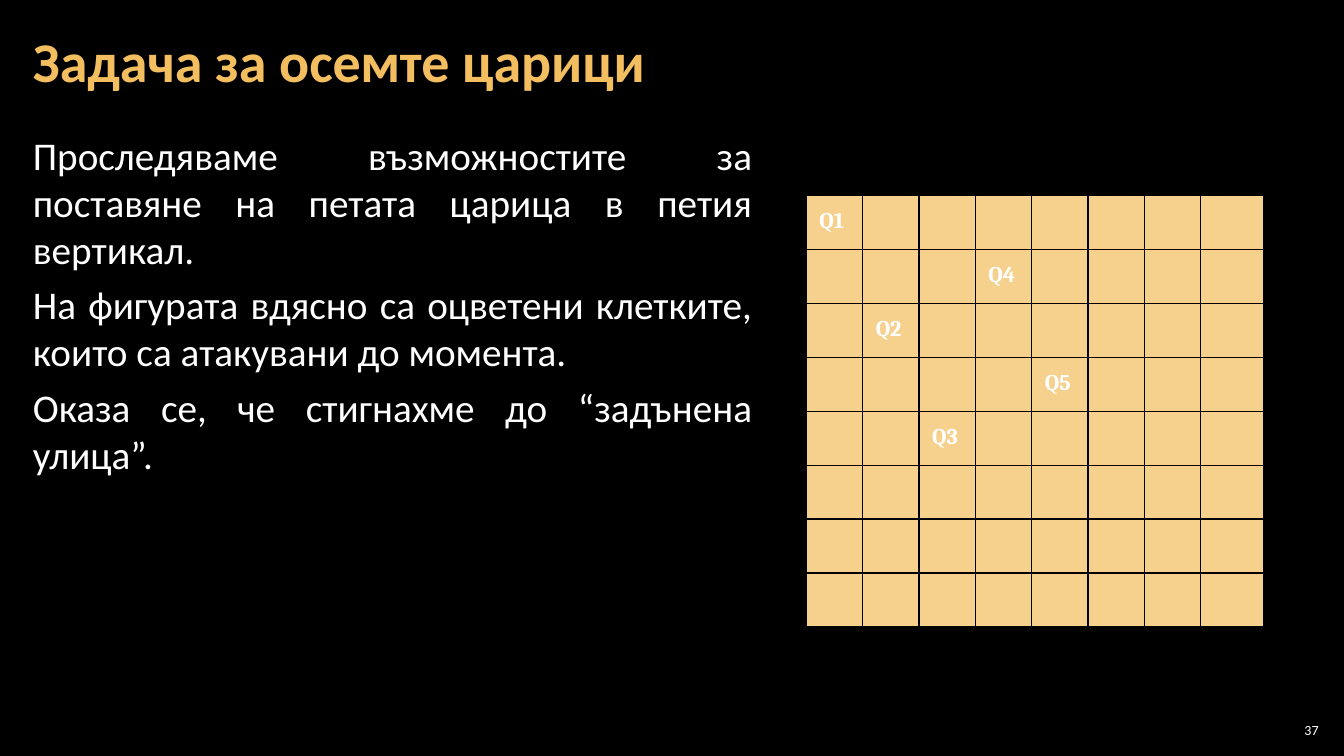
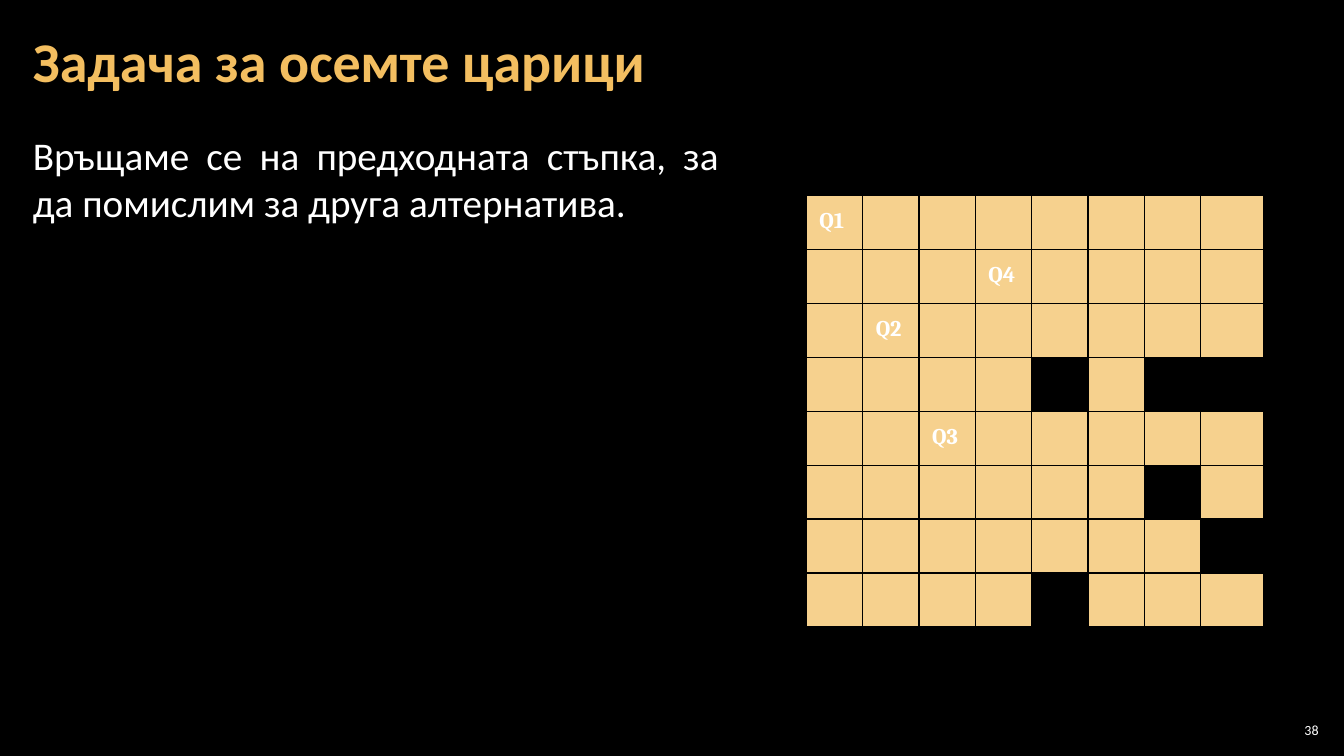
from pptx import Presentation
from pptx.dml.color import RGBColor
from pptx.enum.text import MSO_ANCHOR, PP_ALIGN
from pptx.oxml import parse_xml
from pptx.oxml.ns import nsdecls
from pptx.util import Cm, Pt

LEFT, RIGHT, JUST = PP_ALIGN.LEFT, PP_ALIGN.RIGHT, PP_ALIGN.JUSTIFY
TOP, MIDDLE = MSO_ANCHOR.TOP, MSO_ANCHOR.MIDDLE

BLACK = RGBColor(0x00, 0x00, 0x00)
WHITE = RGBColor(0xFF, 0xFF, 0xFF)
GOLD = RGBColor(0xF3, 0xBE, 0x60)
SAND = RGBColor(0xF6, 0xD1, 0x8E)

TITLE = "Задача за осемте царици"
SIZE = 8
QUEENS = {(0, 0): "Q1", (2, 1): "Q2", (4, 2): "Q3", (1, 3): "Q4"}

SLIDES = [
    dict(
        number="37",
        width=18.72,
        body=[
            "Проследяваме възможностите за поставяне на петата царица в петия вертикал.",
            "На фигурата вдясно са оцветени клетките, които са атакувани до момента.",
            "Оказа се, че стигнахме до “задънена улица”.",
        ],
        queens=QUEENS | {(3, 4): "Q5"},
        free=set(),
    ),
    dict(
        number="38",
        width=17.88,
        body=["Връщаме се на предходната стъпка, за да помислим за друга алтернатива."],
        queens=QUEENS,
        free={(3, 4), (3, 6), (3, 7), (5, 6), (6, 7), (7, 4)},
    ),
]


def write(frame, lines, size, color=WHITE, font="Calibri", bold=False,
          align=LEFT, after=0, spacing=1.0):
    for i, line in enumerate(lines):
        para = frame.paragraphs[0] if i == 0 else frame.add_paragraph()
        para.alignment = align
        para.space_after = Pt(after)
        para.line_spacing = spacing
        run = para.add_run()
        run.text = line
        run.font.size = Pt(size)
        run.font.name = font
        run.font.bold = bold
        run.font.color.rgb = color


def add_box(slide, place, lines, size, anchor=TOP, side=0.3, **style):
    frame = slide.shapes.add_textbox(*map(Cm, place)).text_frame
    frame.word_wrap = True
    frame.vertical_anchor = anchor
    frame.margin_left = frame.margin_right = Cm(side)
    frame.margin_top = frame.margin_bottom = Cm(0.1)
    write(frame, lines, size, **style)


def add_lines(cell):
    props = cell._tc.get_or_add_tcPr()
    for tag in ("lnL", "lnR", "lnT", "lnB"):
        props.append(parse_xml(
            f'<a:{tag} {nsdecls("a")} w="{Pt(1)}"><a:solidFill>'
            f'<a:srgbClr val="{BLACK}"/></a:solidFill></a:{tag}>'))


def add_board(slide, queens, free):
    wide, last, high = 1.42, 1.59, 1.36
    width = wide * (SIZE - 1) + last
    table = slide.shapes.add_table(
        SIZE, SIZE, Cm(20.32), Cm(4.92), Cm(width), Cm(high * SIZE)).table
    table.first_row = table.horz_banding = False
    for i in range(SIZE):
        table.rows[i].height = Cm(high)
        table.columns[i].width = Cm(last if i == SIZE - 1 else wide)
    for row in range(SIZE):
        for col in range(SIZE):
            cell = table.cell(row, col)
            add_lines(cell)
            if (row, col) in free:
                cell.fill.background()
            else:
                cell.fill.solid()
                cell.fill.fore_color.rgb = SAND
            if (row, col) in queens:
                cell.margin_left = cell.margin_right = Cm(0.33)
                cell.margin_top = cell.margin_bottom = Cm(0.33)
                write(cell.text_frame, [queens[row, col]], 16,
                      font="Cambria", bold=True)


def add_slide(deck, data):
    slide = deck.slides.add_slide(deck.slide_layouts[6])
    add_box(slide, (0.53, 3.2, data["width"], 15.47), data["body"], 28,
            align=JUST, after=6)
    add_box(slide, (0.53, 0.1, 32.8, 3.07), [TITLE], 40, anchor=MIDDLE,
            color=GOLD, bold=True, spacing=0.9)
    add_board(slide, data["queens"], data["free"])
    add_box(slide, (32.13, 18.14, 1.2, 0.53), [data["number"]], 10,
            anchor=MIDDLE, side=0.1, align=RIGHT)


def main():
    deck = Presentation()
    deck.slide_width, deck.slide_height = Cm(33.87), Cm(19.05)
    back = deck.slide_master.background.fill
    back.solid()
    back.fore_color.rgb = BLACK
    for data in SLIDES:
        add_slide(deck, data)
    deck.save("out.pptx")


if __name__ == "__main__":
    main()
